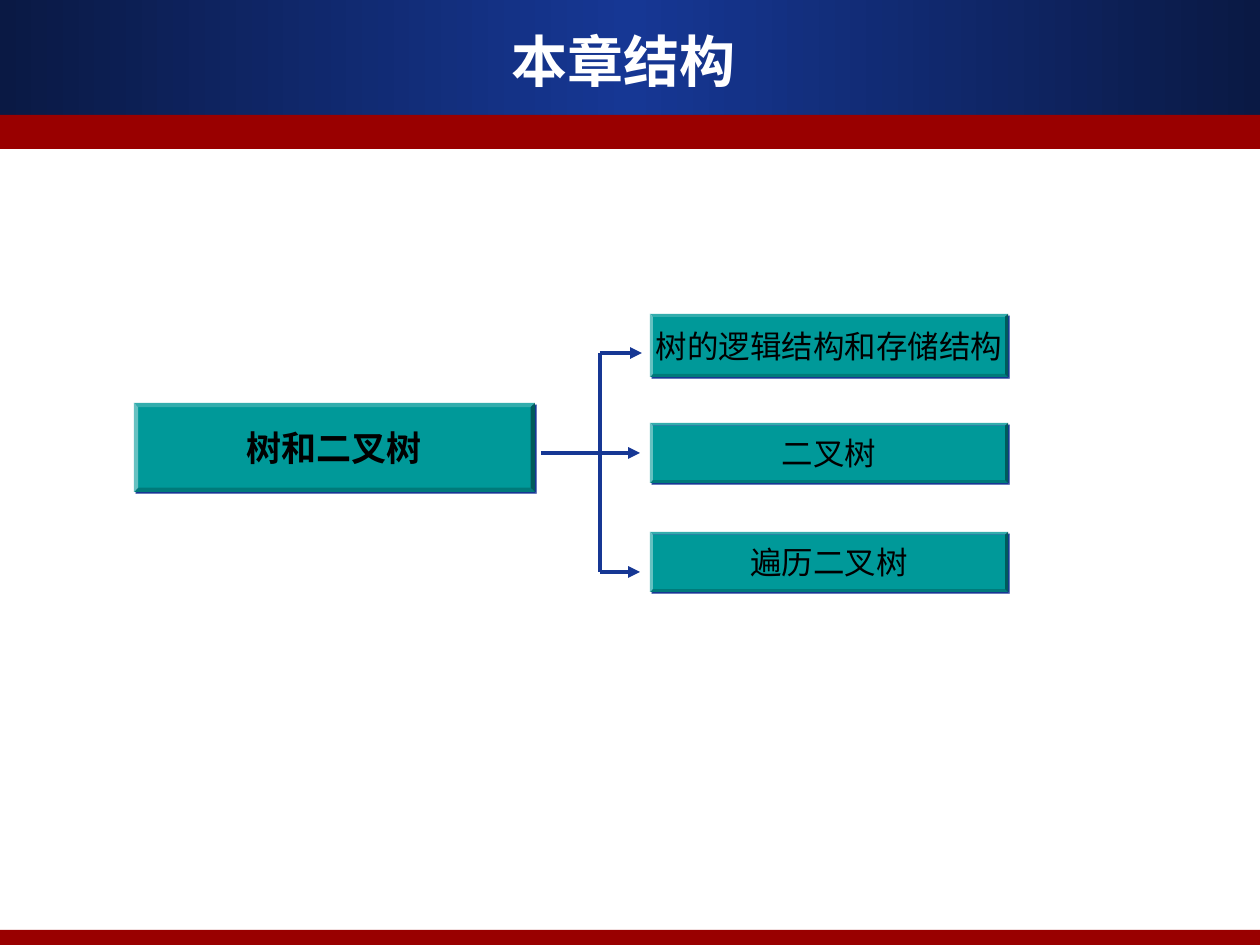
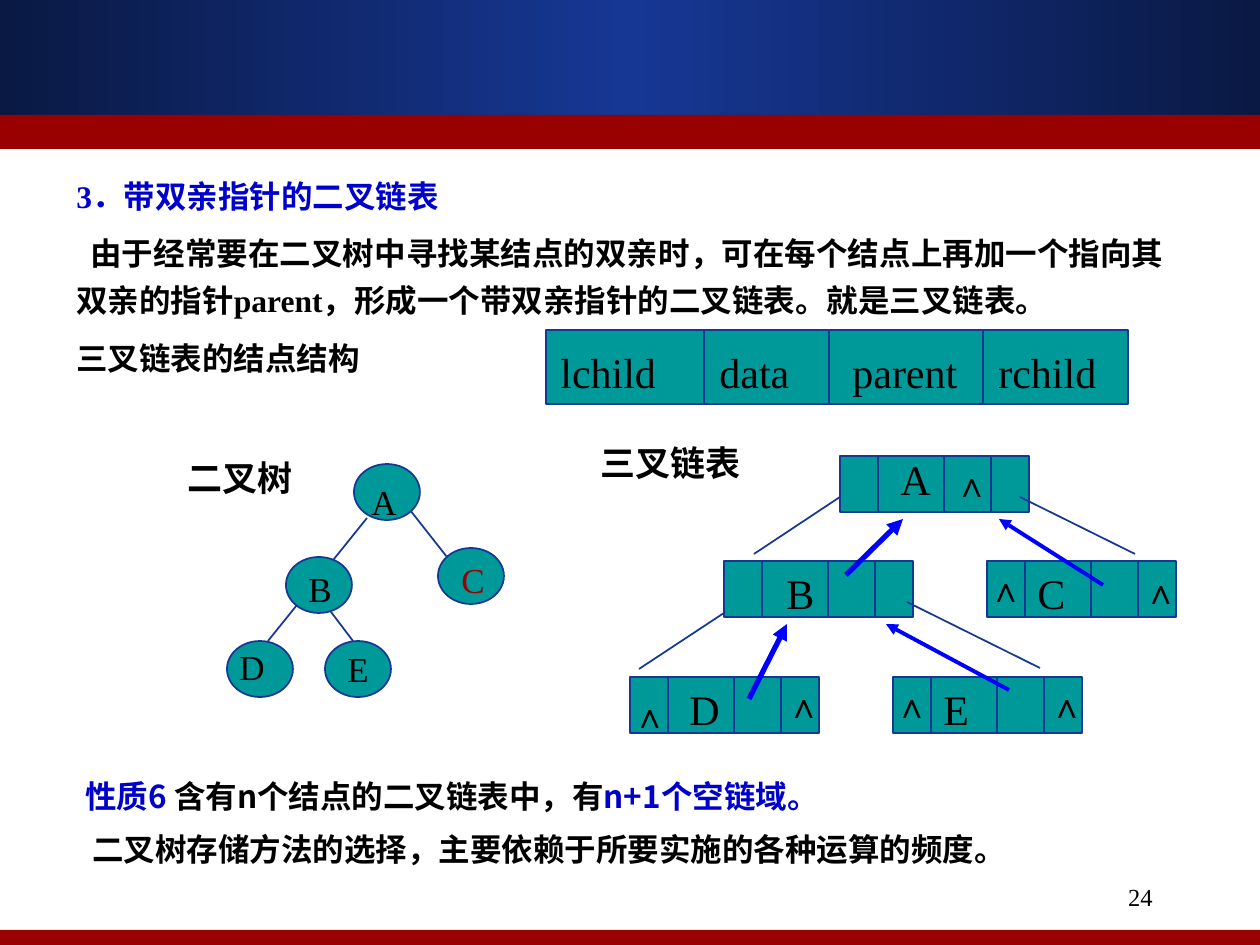
from copy import deepcopy

from lxml import etree
from pptx import Presentation
from pptx import util as u
from pptx.dml import color as c
from pptx.enum import shapes, text
from pptx.oxml import ns

EMU_PER_PX = 914400 / 126
NAVY, DARK_NAVY, RED, TEAL = "163794", "0A1944", "990000", "009999"
BLACK, WHITE, BLUE, ARROW_BLUE = "000000", "FFFFFF", "0000CC", "0000FF"
TIMES, CJK = "Times New Roman", "Noto Sans CJK SC"
LEFT, CENTER = text.PP_ALIGN.LEFT, text.PP_ALIGN.CENTER
RIGHT, JUSTIFY = text.PP_ALIGN.RIGHT, text.PP_ALIGN.JUSTIFY
SHAPE = shapes.MSO_SHAPE


def px(length):
    return u.Emu(round(length * EMU_PER_PX))


def rgb(value):
    return c.RGBColor.from_string(value)


def child(parent, tag, **attributes):
    return etree.SubElement(parent, ns.qn(tag), attributes)


class Deck:
    def __init__(self):
        self.presentation = Presentation()
        self.presentation.slide_width = px(1260)
        self.presentation.slide_height = px(945)
        self.slide = None

    def new_slide(self, title=None):
        self.slide = self.presentation.slides.add_slide(self.presentation.slide_layouts[6])
        header = self.shape(SHAPE.RECTANGLE, (0, 0, 1260, 115), NAVY)
        header.fill.gradient()
        header.fill.gradient_angle = 0
        stops = next(header._element.iter(ns.qn("a:gsLst")))
        stops.append(deepcopy(stops[-1]))
        for index, stop in enumerate(header.fill.gradient_stops):
            stop.position = index / 2
            stop.color.rgb = rgb(NAVY if index == 1 else DARK_NAVY)
        self.shape(SHAPE.RECTANGLE, (0, 115, 1260, 34), RED)
        self.shape(SHAPE.RECTANGLE, (0, 930, 1260, 15), RED)
        if title:
            heading = self.label((41, 21, 1166, 78), title, 32, face="DejaVu Sans",
                                 color=WHITE, bold=True, align=CENTER)
            heading.vertical_anchor = text.MSO_ANCHOR.MIDDLE

    def shape(self, kind, area, fill, outline=None):
        shape = self.slide.shapes.add_shape(kind, *map(px, area))
        shape.shadow.inherit = False
        shape.fill.solid()
        shape.fill.fore_color.rgb = rgb(fill)
        if outline:
            shape.line.color.rgb = rgb(outline)
            shape.line.width = u.Pt(1)
        else:
            shape.line.fill.background()
        return shape

    def line(self, start, end, width=1, color=NAVY, arrow=False):
        line = self.slide.shapes.add_connector(
            shapes.MSO_CONNECTOR.STRAIGHT, *map(px, (*start, *end)))
        line.line.color.rgb = rgb(color)
        line.line.width = u.Pt(width)
        properties = line._element.spPr
        if arrow:
            child(properties.find(ns.qn("a:ln")), "a:tailEnd", type="triangle")
        child(properties, "a:effectLst")

    def style(self, font, face=None, color=None, size=None, bold=None):
        if size:
            font.size = u.Pt(size)
        if bold is not None:
            font.bold = bold
        if color:
            font.color.rgb = rgb(color)
        if face:
            font.name = face
            child(font._element, "a:ea", typeface=CJK)

    def paragraph(self, frame, runs, size, face=TIMES, color=BLACK, bold=False,
                  align=LEFT, before=None, spacing=None, indent=0, tabs=()):
        paragraph = frame.paragraphs[0]
        if paragraph.runs:
            paragraph = frame.add_paragraph()
        paragraph.alignment = align
        if before:
            paragraph.space_before = u.Pt(before)
        if spacing:
            paragraph.line_spacing = spacing
        properties = paragraph._p.get_or_add_pPr()
        if indent:
            properties.set("marL", "0")
            properties.set("indent", str(px(indent)))
        if tabs:
            stops = child(properties, "a:tabLst")
            for position in tabs:
                child(stops, "a:tab", pos=str(px(position)), algn="l")
        self.style(paragraph.font, face, color, size, bold)
        for words, override in runs:
            run = paragraph.add_run()
            run.text = words
            self.style(run.font, **override)

    def frame(self, area):
        frame = self.slide.shapes.add_textbox(*map(px, area)).text_frame
        frame.word_wrap = True
        return frame

    def label(self, area, words, size, **look):
        frame = self.frame(area)
        self.paragraph(frame, [(words, {})], size, **look)
        return frame

    def topic(self, area, words, size, face=CJK, bold=False):
        topic = self.shape(SHAPE.BEVEL, area, TEAL)
        topic.adjustments[0] = 0.047
        effects = topic._element.spPr.find(ns.qn("a:effectLst"))
        shadow = child(effects, "a:outerShdw", dist="18000", dir="2700000", algn="ctr")
        child(shadow, "a:srgbClr", val=NAVY)
        frame = topic.text_frame
        frame.word_wrap = False
        frame.vertical_anchor = text.MSO_ANCHOR.MIDDLE
        self.paragraph(frame, [(words, {})], size, face=face, bold=bold, align=CENTER)

    def record(self, left, top, width, height, dividers):
        self.shape(SHAPE.RECTANGLE, (left, top, width, height), TEAL, NAVY)
        for offset in dividers:
            self.line((left + offset, top), (left + offset, top + height))

    def tree_node(self, name, left, top, label_dx, label_dy, color=BLACK):
        self.shape(SHAPE.OVAL, (left, top, 66, 56), TEAL, NAVY)
        self.label((left + label_dx, top + label_dy, 66, 55), name, 20, color=color)


def chapter_structure(deck):
    deck.new_slide("本章结构")
    deck.topic((650, 314, 358, 63), "树的逻辑结构和存储结构", 18, face="Arial Narrow")
    deck.topic((134, 403, 401, 89), "树和二叉树", 20, bold=True)
    for top, section in ((423, "二叉树"), (532, "遍历二叉树")):
        deck.topic((650, top, 358, 60), section, 18)
    trunk = 600
    deck.line((trunk, 353), (trunk, 572), 2.25)
    deck.line((541, 453), (trunk, 453), 2.25)
    for y, tip in ((353, 642), (453, 640), (572, 640)):
        deck.line((trunk, y), (tip, y), 2.25, arrow=True)


def binary_tree(deck):
    for start, end in (((410, 510), (447, 557)), ((367, 518), (268, 641)),
                       ((325, 604), (353, 641))):
        deck.line(start, end)
    deck.tree_node("A", 354, 464, 5, 10)
    deck.tree_node("B", 286, 557, 10, 4)
    deck.tree_node("C", 438, 548, 11, 4, RED)
    deck.tree_node("D", 227, 641, 0, -2)
    deck.tree_node("E", 325, 641, 10, 0)
    deck.label((175, 450, 198, 63), "二叉树", 20, bold=True)


def triple_linked_list(deck):
    records = (
        ("A", 840, 456, (48, -9), [(102, 0)]),
        ("B", 724, 561, (50, 0), []),
        ("C", 987, 561, (38, 0), [(-11, 0), (144, 2)]),
        ("D", 630, 677, (47, 0), [(-10, 10), (144, 0)]),
        ("E", 893, 677, (38, 0), [(-11, 0), (144, 0)]),
    )
    for name, left, top, (name_dx, name_dy), null_links in records:
        deck.record(left, top, 189, 56, (38, 104, 151))
        deck.label((left + name_dx, top + name_dy, 66, 63), name, 24)
        for dx, dy in null_links:
            deck.label((left + dx, top + dy, 66, 55), "∧", 20, bold=True)
    for parent, target in (((1020, 497), (1135, 554)), ((840, 497), (754, 554)),
                           ((724, 613), (639, 669)), ((907, 602), (1040, 668))):
        deck.line(parent, target)
    for start, parent, width in (((1103, 585), (999, 519), 2.25),
                                 ((1009, 690), (886, 624), 2.25),
                                 ((846, 575), (903, 519), 3),
                                 ((749, 699), (787, 624), 3)):
        deck.line(start, parent, width, ARROW_BLUE, arrow=True)
    deck.label((588, 435, 210, 55), "三叉链表", 20, bold=True)


def parent_pointers(deck):
    deck.new_slide()
    deck.label((903, 876, 262, 63), "24", 14, align=RIGHT)
    deck.record(546, 330, 582, 74, (158, 283, 437))
    deck.label((548, 340, 588, 63), "lchild\tdata\tparent\trchild", 24, tabs=(159, 292, 438))
    binary_tree(deck)
    triple_linked_list(deck)

    intro = deck.frame((64, 171, 1113, 213))
    deck.paragraph(intro, [("3．带双亲指针的二叉链表", {})], 18, color=BLUE,
                   bold=True, align=JUSTIFY)
    deck.paragraph(intro, [
        ("由于经常要在二叉树中寻找某结点的双亲时，可在每个结点上再加一个指向其双亲的指针", {}),
        ("parent", {"face": TIMES}),
        ("，形成一个带双亲指针的二叉链表。就是三叉链表。", {}),
    ], 18, face=CJK, bold=True, align=JUSTIFY, before=5.6, spacing=1.25, indent=14)
    deck.paragraph(intro, [("三叉链表的结点结构", {})], 18, face=CJK, bold=True,
                   align=JUSTIFY, before=11.2)

    summary = deck.frame((73, 771, 1134, 103))
    deck.paragraph(summary, [
        ("性质6 ", {"color": BLUE}),
        ("含有n个结点的二叉链表中，有", {"color": BLACK}),
        ("n+1个空链域。", {"color": BLUE}),
    ], 18, face=CJK, bold=True)
    deck.paragraph(summary, [("二叉树存储方法的选择，主要依赖于所要实施的各种运算的频度。", {})],
                   18, face=CJK, bold=True, before=4.5, spacing=1.2, indent=7)


def main():
    deck = Deck()
    chapter_structure(deck)
    parent_pointers(deck)
    deck.presentation.save("out.pptx")


if __name__ == "__main__":
    main()
